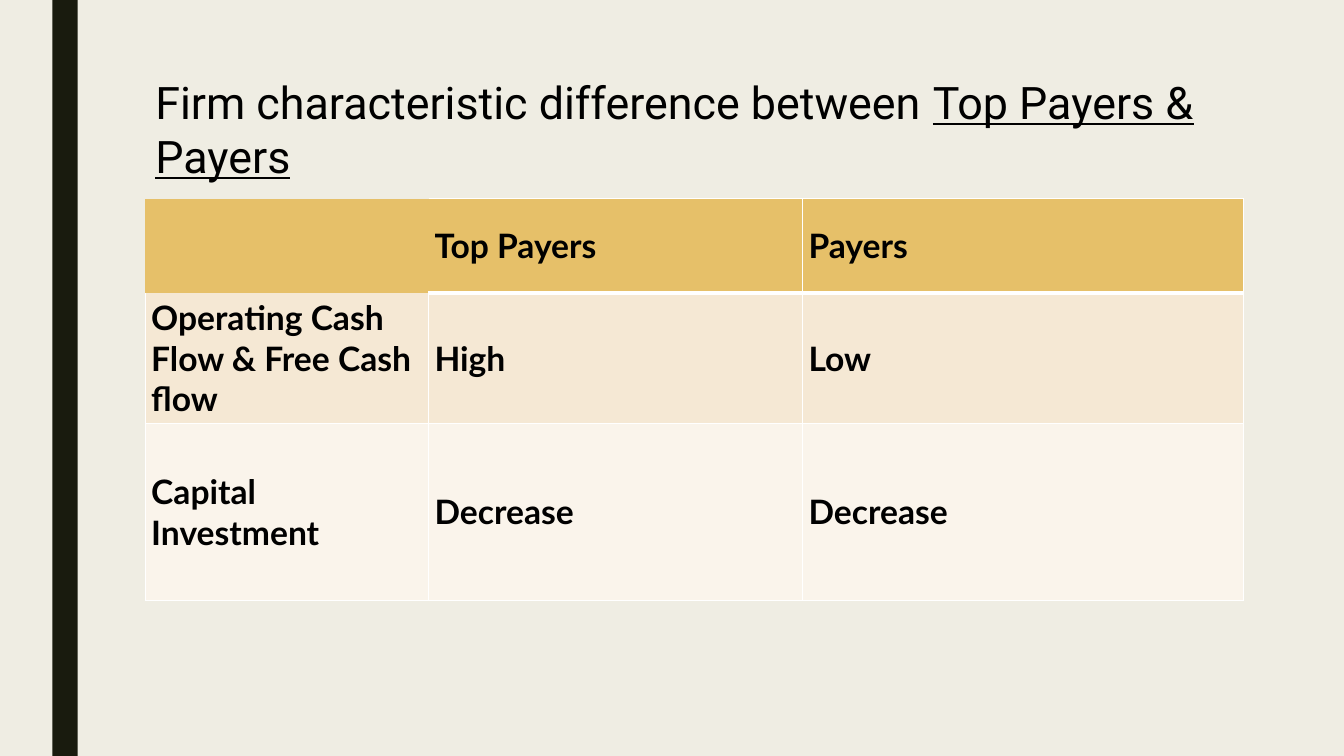
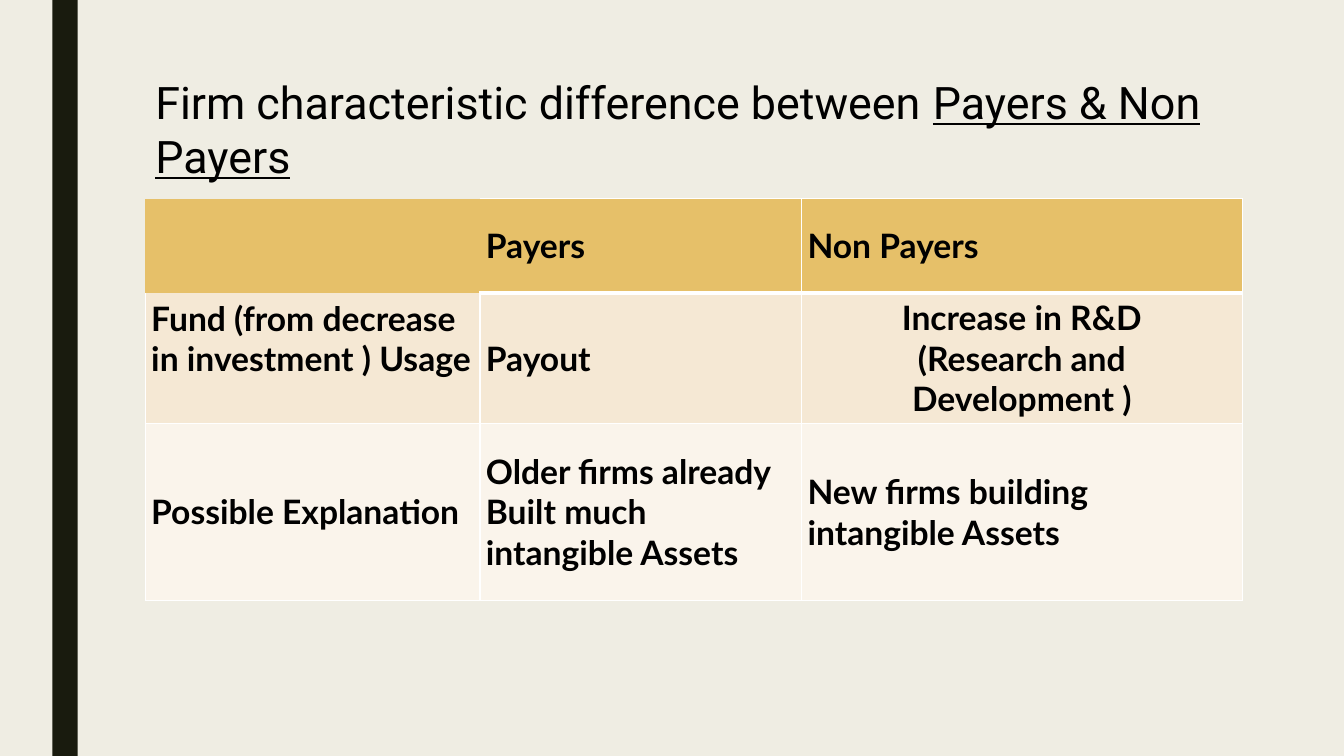
from lxml.etree import SubElement
from pptx import Presentation
from pptx.dml.color import RGBColor
from pptx.enum.shapes import MSO_SHAPE
from pptx.enum.text import MSO_ANCHOR, MSO_AUTO_SIZE, PP_ALIGN
from pptx.oxml import parse_xml
from pptx.oxml.ns import nsdecls, qn
from pptx.util import Inches, Pt

BACKGROUND = "EFEDE3"
BAND = "191B0E"
TEXT = "000000"
BORDER = "FFFFFF"
ROW_FILLS = ["E6C069", "F5E8D4", "FAF4EB"]
ROW_HEIGHTS = [0.94, 1.29, 1.76]
TITLE_START = "Firm characteristic difference between "

COMPARISONS = [
    {
        "groups": "Top Payers & Payers",
        "widths": [2.81, 3.71, 4.37],
        "rows": [
            ["", "Top Payers", "Payers"],
            ["Operating Cash Flow & Free Cash flow", "High", "Low"],
            ["Capital Investment", "Decrease", "Decrease"],
        ],
        "centred": [],
        "top": [],
    },
    {
        "groups": "Payers & Non Payers",
        "widths": [3.32, 3.19, 4.37],
        "rows": [
            ["", "Payers", "Non Payers"],
            [
                "Fund (from decrease in investment ) Usage",
                "Payout",
                "Increase in R&D\n(Research and Development )",
            ],
            [
                "Possible Explanation",
                "Older firms already Built much intangible Assets",
                "New firms building intangible Assets",
            ],
        ],
        "centred": [(1, 2)],
        "top": [(1, 0)],
    },
]


def paint(color, value):
    color.rgb = RGBColor.from_string(value)


def set_borders(cell, widths):
    properties = cell._tc.get_or_add_tcPr()
    for position, (side, width) in enumerate(widths.items()):
        line = parse_xml(f'<a:ln{side} {nsdecls("a")} w="{Pt(width)}"/>')
        if width:
            fill = SubElement(line, qn("a:solidFill"))
            SubElement(fill, qn("a:srgbClr"), val=BORDER)
        else:
            SubElement(line, qn("a:noFill"))
        properties.insert(position, line)


prs = Presentation()
prs.slide_width = Inches(13.33)
prs.slide_height = Inches(7.5)

master = prs.slide_master
master.background.fill.solid()
paint(master.background.fill.fore_color, BACKGROUND)

layout = prs.slide_layouts[5]
layout_title = layout.placeholders[0]
layout_title.left, layout_title.top = Inches(1.44), Inches(0.69)
layout_title.width, layout_title.height = Inches(11.34), Inches(1.31)
layout_title.text_frame.vertical_anchor = MSO_ANCHOR.TOP
layout_title.text_frame.auto_size = MSO_AUTO_SIZE.NONE

slides = [prs.slides.add_slide(layout) for _ in COMPARISONS]

band = slides[0].shapes.add_shape(
    MSO_SHAPE.RECTANGLE, Inches(0.52), 0, Inches(0.25), prs.slide_height
)
band.shadow.inherit = False
band.fill.solid()
paint(band.fill.fore_color, BAND)
band.line.fill.background()
band.element.nvSpPr.cNvPr.set("id", "20")
master.shapes.element.append(band.element)

for slide, comparison in zip(slides, COMPARISONS):
    heading = slide.shapes.title.text_frame.paragraphs[0]
    heading.text = TITLE_START
    heading.alignment = PP_ALIGN.LEFT
    groups = heading.add_run()
    groups.text = comparison["groups"]
    groups.font.underline = True
    for run in heading.runs:
        run.font.name = "Roboto"
        run.font.size = Pt(32)
        paint(run.font.color, TEXT)

    table = slide.shapes.add_table(
        3, 3, Inches(1.44), Inches(1.97), Inches(10.88), Inches(3.99)
    ).table
    table.first_row = False
    table.horz_banding = False
    for column, width in zip(table.columns, comparison["widths"]):
        column.width = Inches(width)

    for r, texts in enumerate(comparison["rows"]):
        table.rows[r].height = Inches(ROW_HEIGHTS[r])
        for c, text in enumerate(texts):
            cell = table.cell(r, c)
            cell.fill.solid()
            paint(cell.fill.fore_color, ROW_FILLS[r])
            cell.margin_left = cell.margin_right = Inches(0.06)
            cell.margin_top = cell.margin_bottom = Inches(0.03)
            cell.vertical_anchor = MSO_ANCHOR.MIDDLE
            if (r, c) in comparison["top"]:
                cell.vertical_anchor = MSO_ANCHOR.TOP
                cell.margin_top = Inches(0.05)

            borders = {"L": 1, "R": 1, "T": 1, "B": 1}
            if (r, c) == (0, 0):
                borders = dict.fromkeys(borders, 0)
            elif r == 0:
                borders["B"] = 3
                borders["L"] = c - 1
            elif r == 1:
                borders["T"] = 3 if c else 0
            set_borders(cell, borders)

            cell.text_frame.text = text
            for paragraph in cell.text_frame.paragraphs:
                if (r, c) in comparison["centred"]:
                    paragraph.alignment = PP_ALIGN.CENTER
                for run in paragraph.runs:
                    run.font.name = "Lato"
                    run.font.size = Pt(24)
                    run.font.bold = True
                    paint(run.font.color, TEXT)

prs.save("out.pptx")
